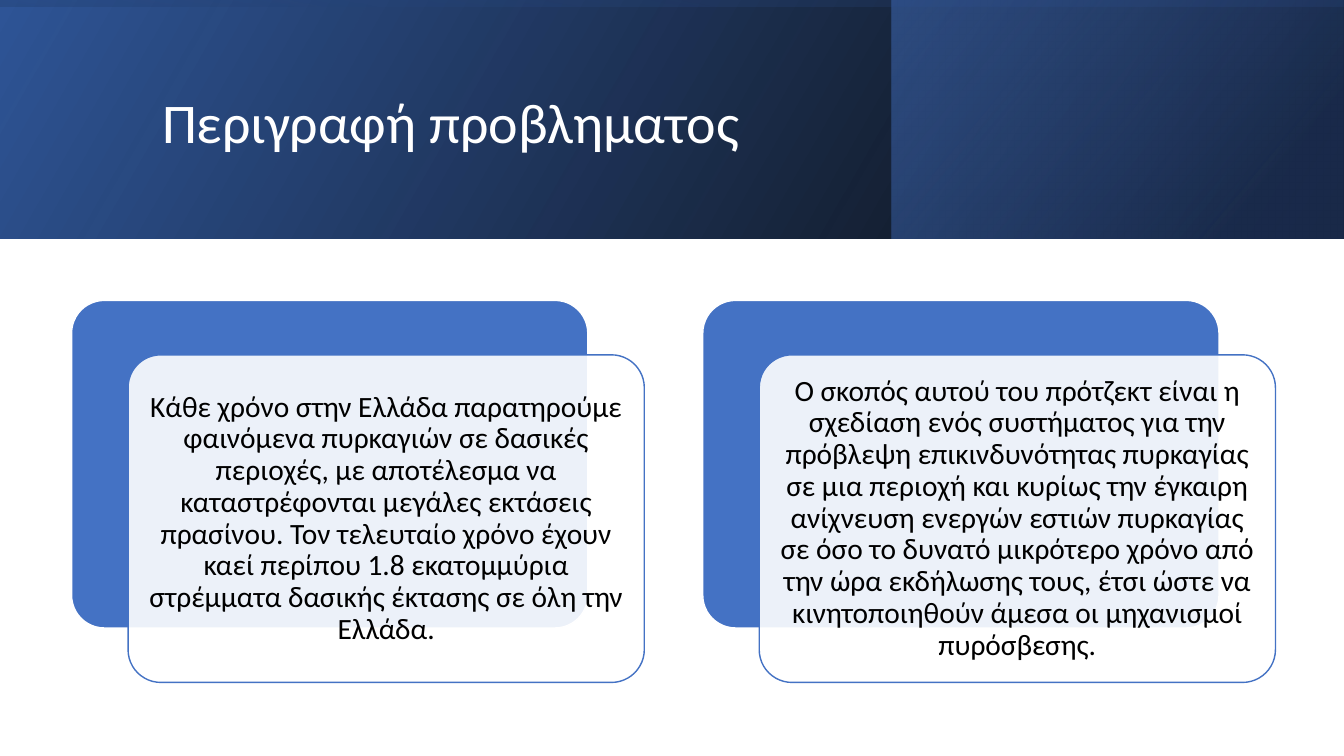
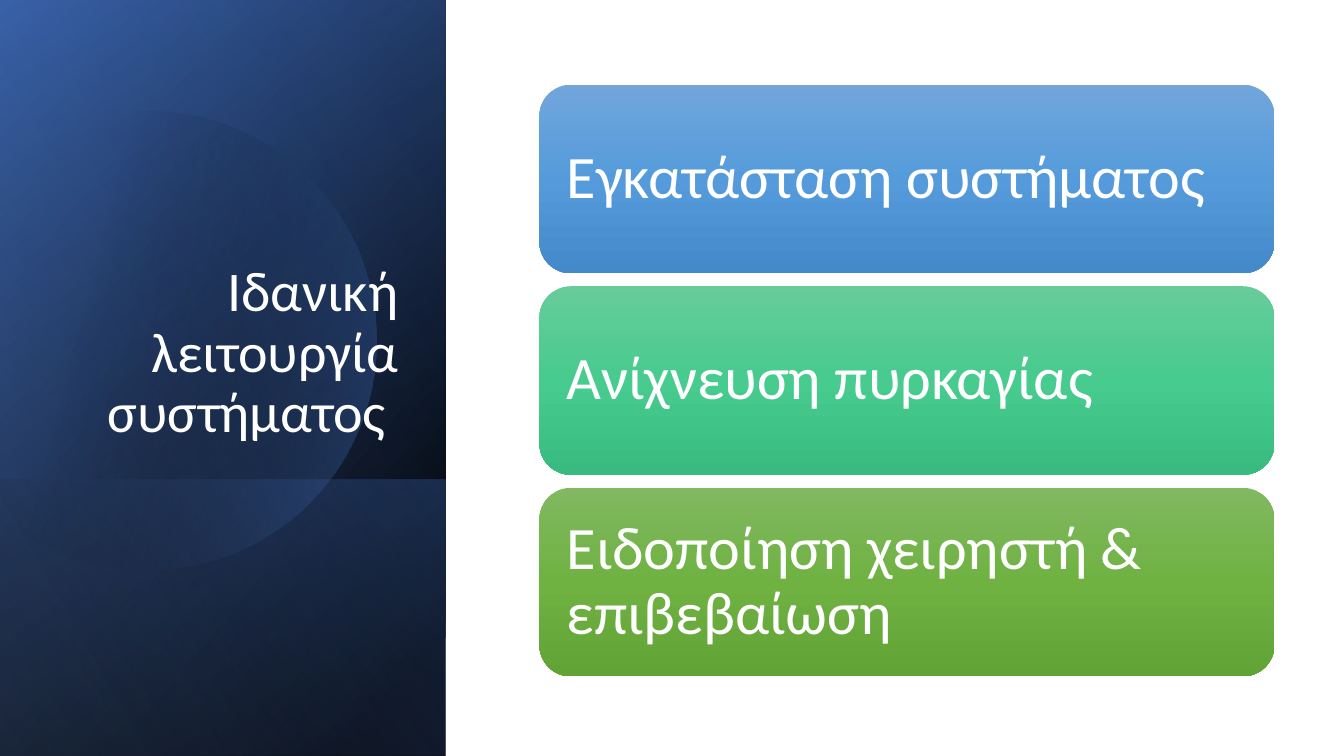
from math import acos, cos, pi, sin

from pptx import Presentation
from pptx.dml.color import RGBColor
from pptx.enum.shapes import MSO_SHAPE
from pptx.enum.text import MSO_ANCHOR, PP_ALIGN
from pptx.oxml import parse_xml
from pptx.oxml.ns import nsdecls, qn
from pptx.util import Inches, Pt

WIDE, HIGH = 13.33, 7.5

HUES = {
    "white": "FFFFFF", "black": "000000", "blue": "4472C4",
    "deep": "2F5597", "navy": "203864", "pale": "8FAADC",
    "sky": "71A6DB", "sky mid": "559BDB", "sky low": "448ACA",
    "mint": "67CC9A", "mint mid": "47CB8E", "mint low": "39BB7F",
    "leaf": "81B861", "leaf mid": "6FB242", "leaf low": "62A336",
}


class Deck:
    font = "Calibri"

    def __init__(self):
        self.show = Presentation()
        self.show.slide_width = Inches(WIDE)
        self.show.slide_height = Inches(HIGH)
        self.slide = None

    def page(self):
        self.slide = self.show.slides.add_slide(self.show.slide_layouts[6])

    def hue(self, name):
        return RGBColor.from_string(HUES[name])

    def paint(self, shape, stops, angle):
        """Fill with a gradient of (position, colour, opacity) stops."""
        marks = "".join(
            f'<a:gs pos="{pos * 1000}"><a:srgbClr val="{HUES[name]}">'
            f'<a:alpha val="{solid * 1000}"/></a:srgbClr></a:gs>'
            for pos, name, solid in stops)
        grad = parse_xml(
            f'<a:gradFill {nsdecls("a")} rotWithShape="1"><a:gsLst>{marks}</a:gsLst>'
            f'<a:lin ang="{angle * 60000}" scaled="0"/></a:gradFill>')
        shape.fill.background()
        props = shape._element.spPr
        props.replace(props.find(qn("a:noFill")), grad)
        shape.line.fill.background()
        shape.shadow.inherit = False

    def band(self, box, stops, angle, turn=0):
        """Mirrored rectangle that covers box, also after a quarter turn."""
        left, top, wide, high = box
        if turn:
            left, top = left + (wide - high) / 2, top + (high - wide) / 2
            wide, high = high, wide
        shape = self.shape(MSO_SHAPE.RECTANGLE, (left, top, wide, high))
        shape.rotation = turn
        shape._element.spPr.find(qn("a:xfrm")).set("flipH", "1")
        self.paint(shape, stops, angle)

    def shape(self, kind, box):
        shape = self.slide.shapes.add_shape(kind, *map(Inches, box))
        shape.shadow.inherit = False
        return shape

    def disc(self, x, y, size, edge, stops, angle):
        """Circle cut off by a straight edge on its left."""
        reach = acos((edge - x) / size)
        turns = [reach * (step / 60 - 1) for step in range(121)]
        dots = [(Inches(x + size * cos(t)), Inches(y + size * sin(t))) for t in turns]
        draw = self.slide.shapes.build_freeform(*dots[0])
        draw.add_line_segments(dots[1:], close=True)
        self.paint(draw.convert_to_shape(), stops, angle)

    def card(self, box, fill, line, solid=100):
        shape = self.shape(MSO_SHAPE.ROUNDED_RECTANGLE, box)
        shape.adjustments[0] = 0.1
        shape.fill.solid()
        shape.fill.fore_color.rgb = self.hue(fill)
        color = shape._element.spPr.find(qn("a:solidFill"))[0]
        color.append(parse_xml(f'<a:alpha {nsdecls("a")} val="{solid * 1000}"/>'))
        shape.line.color.rgb = self.hue(line)
        shape.line.width = Pt(1)
        return shape

    def bar(self, box, tones):
        shape = self.shape(MSO_SHAPE.ROUNDED_RECTANGLE, box)
        self.paint(shape, [(50 * i, name, 100) for i, name in enumerate(tones)], 90)
        return shape

    def label(self, shape, text, size, color, align=PP_ALIGN.LEFT,
              anchor=MSO_ANCHOR.MIDDLE, pad=None):
        frame = shape.text_frame
        frame.word_wrap = True
        frame.vertical_anchor = anchor
        if pad is not None:
            frame.margin_left = frame.margin_right = Inches(pad)
            frame.margin_top = frame.margin_bottom = Inches(pad)
        para = frame.paragraphs[0]
        para.alignment = align
        para.line_spacing = 0.9
        run = para.add_run()
        run.text = text
        run.font.name = self.font
        run.font.size = Pt(size)
        run.font.color.rgb = self.hue(color)

    def title(self, box, text, **style):
        frame = self.slide.shapes.add_textbox(*map(Inches, box))
        self.label(frame, text, 40, "white", **style)


def problem(deck):
    deck.page()

    # Header band
    head = (0, 0, WIDE, 2.37)
    deck.band(head, [(0, "black", 96), (100, "deep", 100)], 330)
    deck.band((8.84, 0, 4.48, 2.37), [(19, "navy", 68), (100, "blue", 48)], 320)
    deck.band(head, [(23, "deep", 16), (99, "black", 45)], 350, 270)
    deck.title((1.51, 0.38, 10.63, 1.72), "Περιγραφή προβληματος")

    # Layered cards
    texts = [
        "Κάθε χρόνο στην Ελλάδα παρατηρούμε φαινόμενα πυρκαγιών σε δασικές "
        "περιοχές, με αποτέλεσμα να καταστρέφονται μεγάλες εκτάσεις πρασίνου. "
        "Τον τελευταίο χρόνο έχουν καεί περίπου 1.8 εκατομμύρια στρέμματα "
        "δασικής έκτασης σε όλη την Ελλάδα.",
        "Ο σκοπός αυτού του πρότζεκτ είναι η σχεδίαση ενός συστήματος για την "
        "πρόβλεψη επικινδυνότητας πυρκαγίας σε μια περιοχή και κυρίως την "
        "έγκαιρη ανίχνευση ενεργών εστιών πυρκαγίας σε όσο το δυνατό μικρότερο "
        "χρόνο από την ώρα εκδήλωσης τους, έτσι ώστε να κινητοποιηθούν άμεσα "
        "οι μηχανισμοί πυρόσβεσης.",
    ]
    for col, text in enumerate(texts):
        left = 0.71 + 6.26 * col
        deck.card((left, 2.98, 5.12, 3.25), "blue", "white")
        front = deck.card((left + 0.56, 3.52, 5.12, 3.25), "white", "blue", 90)
        deck.label(front, text, 21, "black", PP_ALIGN.CENTER, pad=0.09)


def system(deck):
    deck.page()

    # Side panel
    side = (0, 0, 4.42, HIGH)
    deck.band(side, [(8, "black", 100), (100, "deep", 100)], 50, 90)
    deck.band(side, [(0, "black", 0), (99, "blue", 46)], 30, 90)
    deck.band((0, 4.76, 4.42, 2.74), [(2, "blue", 29), (100, "black", 30)], 130, 90)
    deck.disc(1.45, 3.38, 2.28, -0.15, [(29, "black", 0), (100, "blue", 43)], 14)
    deck.band(side, [(0, "black", 0), (99, "pale", 11)], 120, 90)
    deck.title((0.64, 1.84, 3.41, 2.62), "Ιδανική λειτουργία συστήματος ",
               align=PP_ALIGN.RIGHT, anchor=MSO_ANCHOR.BOTTOM)

    # Steps
    steps = [
        ("Εγκατάσταση συστήματος", "sky"),
        ("Ανίχνευση πυρκαγίας", "mint"),
        ("Ειδοποίηση χειρηστή & επιβεβαίωση", "leaf"),
    ]
    for row, (text, tone) in enumerate(steps):
        tones = [tone, f"{tone} mid", f"{tone} low"]
        bar = deck.bar((5.35, 0.84 + 2 * row, 7.29, 1.87), tones)
        deck.label(bar, text, 43, "white", pad=0.18)


def main():
    deck = Deck()
    problem(deck)
    system(deck)
    deck.show.save("out.pptx")


if __name__ == "__main__":
    main()
